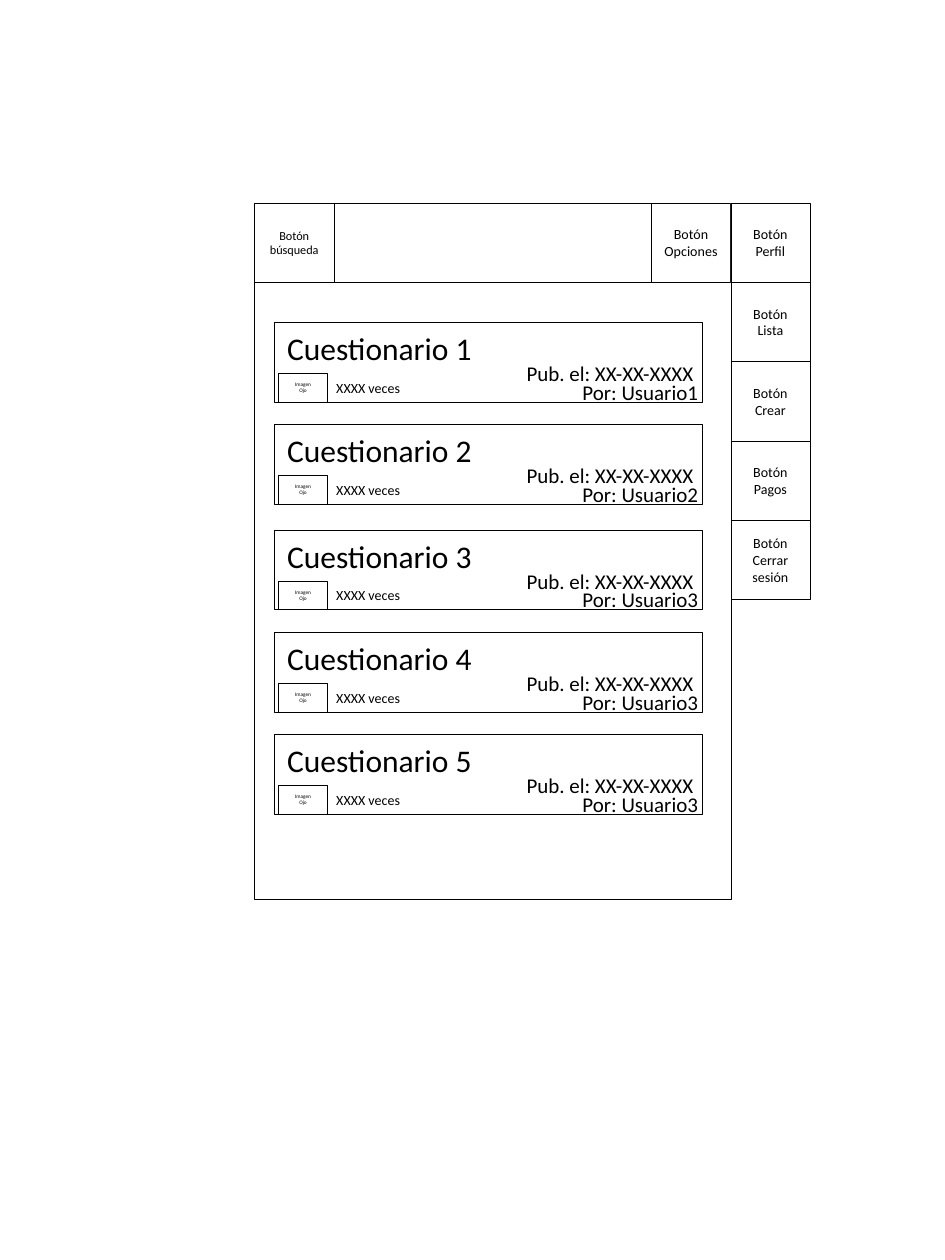
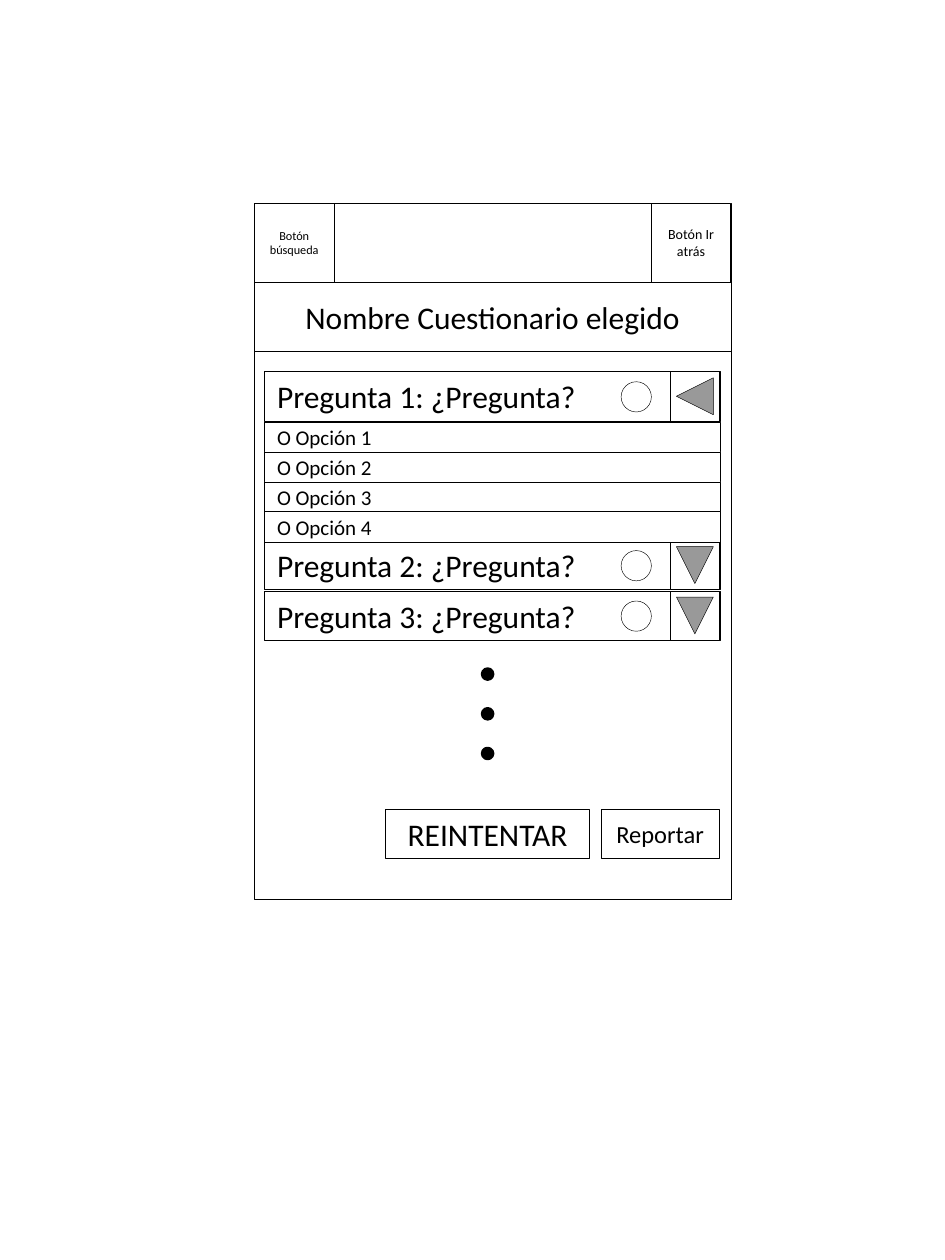
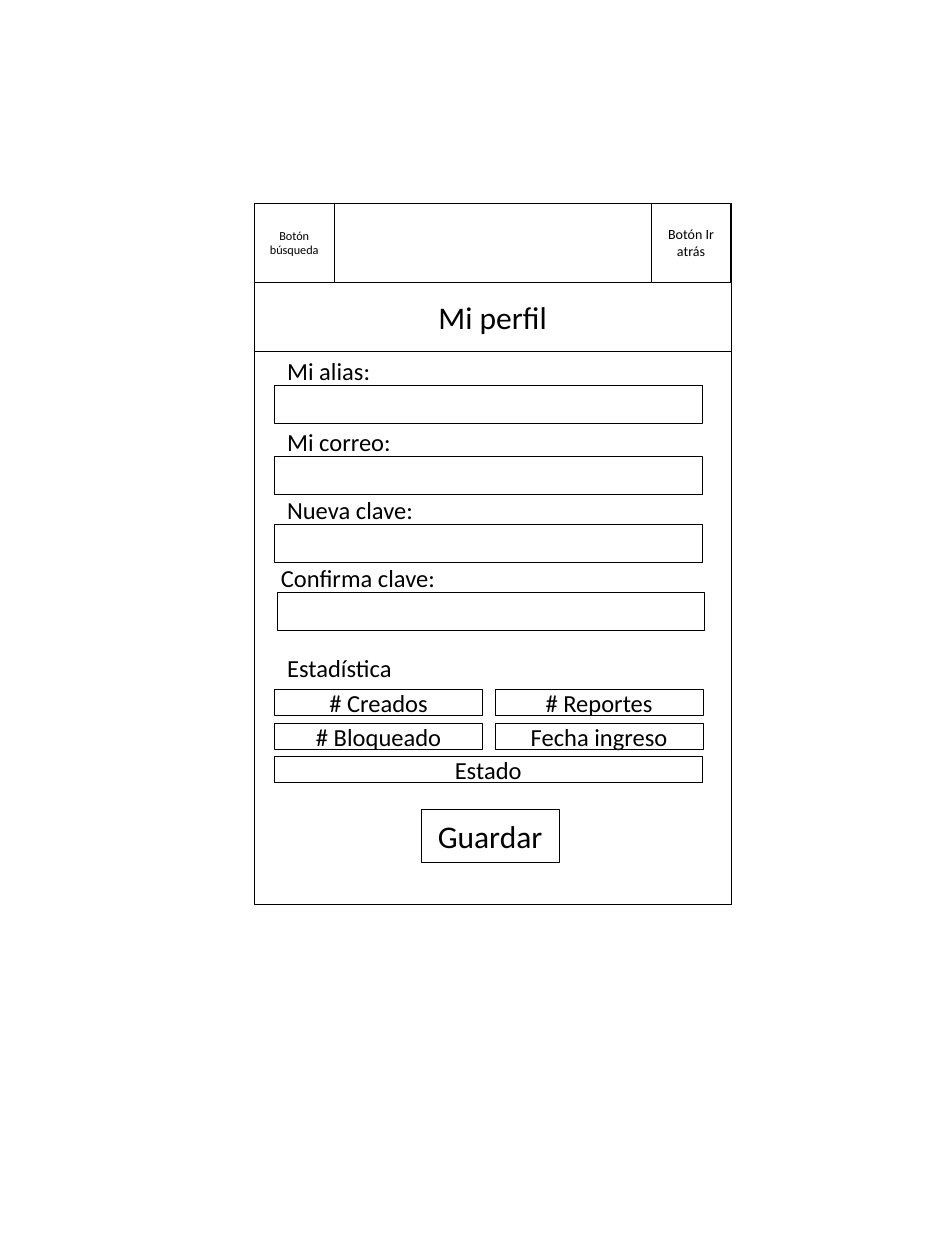
import dataclasses

import pptx
import pptx.dml.color
import pptx.enum.shapes
import pptx.enum.text
import pptx.util

Inches = pptx.util.Inches
SHAPE = pptx.enum.shapes.MSO_SHAPE
ALIGN = pptx.enum.text.PP_ALIGN
ANCHOR = pptx.enum.text.MSO_ANCHOR


@dataclasses.dataclass(frozen=True)
class Theme:
    font: str = "Calibri"
    ink: pptx.dml.color.RGBColor = pptx.dml.color.RGBColor(0, 0, 0)
    paper: pptx.dml.color.RGBColor = pptx.dml.color.RGBColor(255, 255, 255)
    line: float = 0.25
    heading: int = 18
    field: int = 14
    detail: int = 12
    button: int = 8
    search: int = 7
    icon: int = 3


theme = Theme()


def write(shape, text, size, align):
    """Write each line of text as one paragraph."""
    frame = shape.text_frame
    frame.word_wrap = True
    for index, line in enumerate(text.split("\n")):
        paragraph = frame.add_paragraph() if index else frame.paragraphs[0]
        paragraph.alignment = align
        run = paragraph.add_run()
        run.text = line
        run.font.name = theme.font
        run.font.size = pptx.util.Pt(size)
        run.font.color.rgb = theme.ink


def add_item(slide, place, text="", size=theme.heading, align=ALIGN.CENTER,
             kind=SHAPE.RECTANGLE, fill=theme.paper, line=theme.line):
    """Add an outlined shape, or a bare label when kind is None."""
    position = [Inches(length) for length in place]
    if kind is None:
        shape = slide.shapes.add_textbox(*position)
        write(shape, text, size, align)
        shape.text_frame.auto_size = pptx.enum.text.MSO_AUTO_SIZE.SHAPE_TO_FIT_TEXT
        return shape
    shape = slide.shapes.add_shape(kind, *position)
    shape.shadow.inherit = False
    shape.fill.solid()
    shape.fill.fore_color.rgb = fill
    shape.line.color.rgb = theme.ink
    shape.line.width = pptx.util.Pt(line)
    if text:
        shape.text_frame.vertical_anchor = ANCHOR.MIDDLE
        write(shape, text, size, align)
    return shape


presentation = pptx.Presentation()
presentation.slide_width = Inches(7.5)
presentation.slide_height = Inches(10)

# Phone screen shared by the slides
left, top, width, button = 2.02, 1.61, 3.78, 0.63
right = left + width
body_top, body_height = top + button, 4.9
field_left, field_width = 2.18, 3.39

screens = [
    # title, right-hand button, top of the body
    (None, "Botón\nOpciones", body_top),
    ("Nombre Cuestionario elegido", "Botón Ir atrás", body_top),
    ("Mi perfil", "Botón Ir atrás", 2.28),
]
slides = []
for title, corner, panel_top in screens:
    layout = presentation.slide_layouts[5 if title else 6]
    slide = presentation.slides.add_slide(layout)
    slides.append(slide)
    add_item(slide, (left, top, width, button))
    add_item(slide, (left, panel_top, width, body_height))
    if title:
        heading = slide.shapes.title
        heading.left, heading.top = Inches(left), Inches(body_top)
        heading.width, heading.height = Inches(width), Inches(0.55)
        heading.fill.solid()
        heading.fill.fore_color.rgb = theme.paper
        heading.line.color.rgb = theme.ink
        heading.line.width = pptx.util.Pt(theme.line)
        heading.text_frame.vertical_anchor = ANCHOR.MIDDLE
        write(heading, title, theme.heading, ALIGN.CENTER)
        # Bring the title in front of the panel
        heading.element.getparent().append(heading.element)
    add_item(slide, (left, top, button, button), "Botón\nbúsqueda", theme.search)
    add_item(slide, (right - button, top, button, button), corner, theme.button)

list_slide, quiz_slide, profile_slide = slides

# Slide 1: questionnaire cards
cards = [(2.56, 1), (3.37, 2), (4.21, 3), (5.02, 3), (5.83, 3)]
for number, (card_top, user) in enumerate(cards, start=1):
    add_item(list_slide, (field_left, card_top, field_width, 0.63))
    labels = [
        ((field_left, card_top, 1.85, 0.4), f"Cuestionario {number}", theme.heading, ALIGN.LEFT),
        ((3.83, card_top + 0.4, 1.81, 0.3), f"Por: Usuario{user}", theme.detail, ALIGN.RIGHT),
        ((3.83, card_top + 0.25, 1.81, 0.3), "Pub. el: XX-XX-XXXX ", theme.detail, ALIGN.RIGHT),
        ((2.57, card_top + 0.4, 0.85, 0.24), "XXXX veces", theme.button, ALIGN.LEFT),
    ]
    for place, text, size, align in labels:
        add_item(list_slide, place, text, size, align, kind=None)
    add_item(list_slide, (2.21, card_top + 0.4, 0.39, 0.23), "Imagen\nOjo", theme.icon)

# Slide 1: options menu
menu = ["Perfil", "Lista", "Crear", "Pagos", "Cerrar\nsesión"]
for index, entry in enumerate(menu):
    add_item(list_slide, (right, top + index * button, button, button),
             f"Botón\n{entry}", theme.button)

# Slide 2: questions with their mark and fold button
row_left, row_width, row_height = 2.1, 3.62, 0.39
for number, (row_top, rotation) in enumerate([(2.95, 0), (4.29, 270), (4.69, 270)], start=1):
    add_item(quiz_slide, (row_left, row_top, row_width, row_height),
             f"Pregunta {number}: ¿Pregunta?", align=ALIGN.LEFT)
    add_item(quiz_slide, (4.93, row_top + 0.08, 0.24, 0.24), kind=SHAPE.OVAL)
    fold = add_item(quiz_slide, (5.32, row_top, row_height, row_height),
                    kind=SHAPE.ACTION_BUTTON_BACK_OR_PREVIOUS)
    fold.rotation = rotation

# Slide 2: answers of the open question
for index in range(4):
    add_item(quiz_slide, (row_left, 3.35 + index * 0.237, row_width, 0.24),
             f"O Opción {index + 1}", theme.detail, ALIGN.LEFT)

# Slide 2: continuation dots and actions
for index in range(3):
    add_item(quiz_slide, (3.83, 5.31 + index * 0.315, 0.08, 0.08),
             kind=SHAPE.OVAL, fill=theme.ink, line=2)
add_item(quiz_slide, (3.06, 6.42, 1.62, row_height), "REINTENTAR")
add_item(quiz_slide, (4.77, 6.42, 0.94, row_height), "Reportar", theme.field)

# Slide 3: profile fields
fields = [
    # label, label left, field left, field top
    ("Mi alias:", field_left, field_left, 3.06),
    ("Mi correo:", field_left, field_left, 3.62),
    ("Nueva clave:", field_left, field_left, 4.16),
    ("Confirma clave:", 2.13, 2.2, 4.7),
]
for text, label_left, box_left, box_top in fields:
    add_item(profile_slide, (box_left, box_top, field_width, 0.3))
    add_item(profile_slide, (label_left, box_top - 0.28, 1.85, 0.34),
             text, theme.field, ALIGN.LEFT, kind=None)

# Slide 3: statistics
add_item(profile_slide, (field_left, 5.13, 1.85, 0.34),
         "Estadística", theme.field, ALIGN.LEFT, kind=None)
statistics = [("# Creados", "# Reportes"), ("# Bloqueado", "Fecha ingreso")]
for row, entries in enumerate(statistics):
    for column, text in enumerate(entries):
        add_item(profile_slide,
                 (field_left + column * 1.75, 5.47 + row * 0.27, 1.65, 0.21),
                 text, theme.field)
add_item(profile_slide, (field_left, 6, field_width, 0.21), "Estado", theme.field)
add_item(profile_slide, (3.34, 6.42, 1.1, 0.42), "Guardar")

presentation.save("out.pptx")
